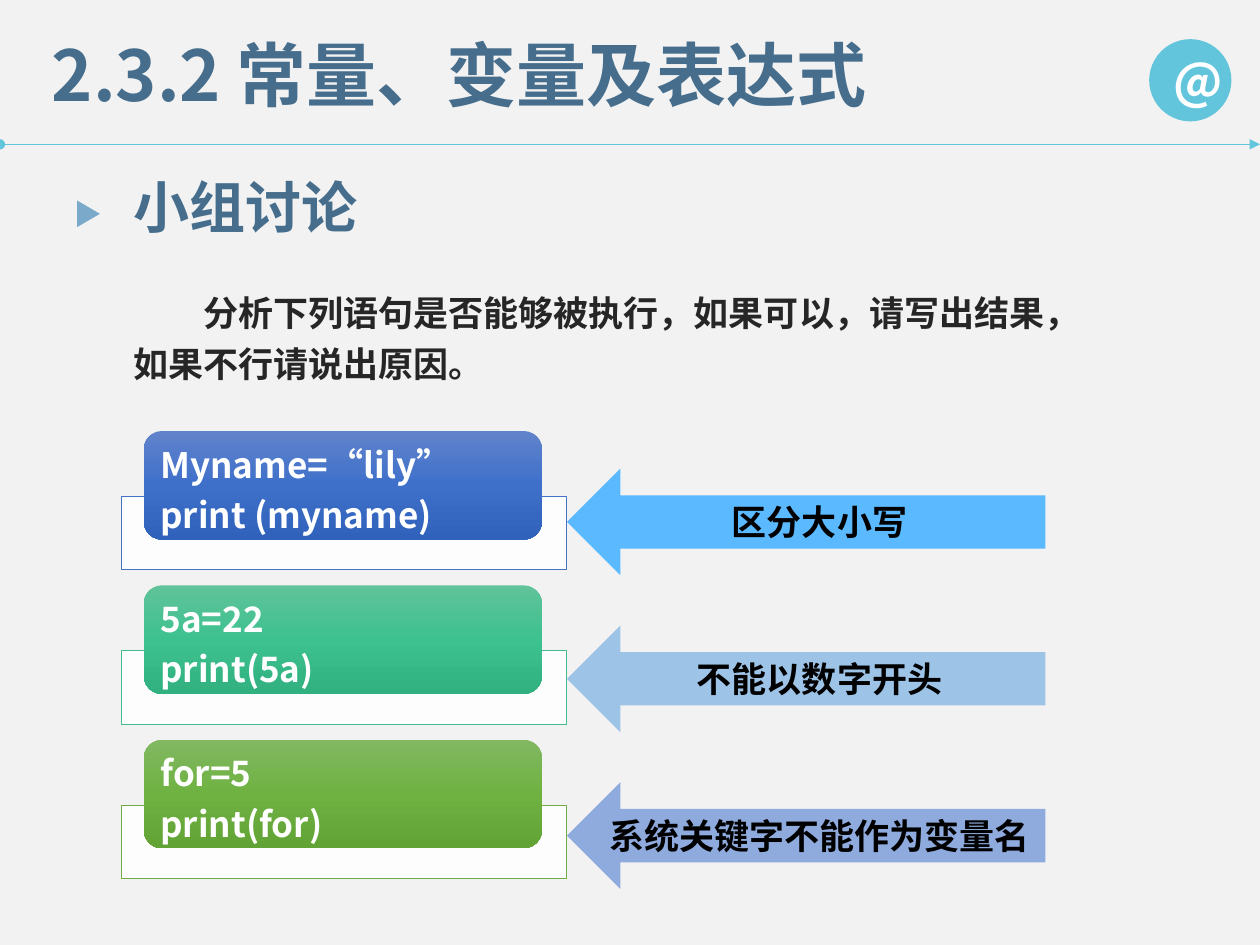
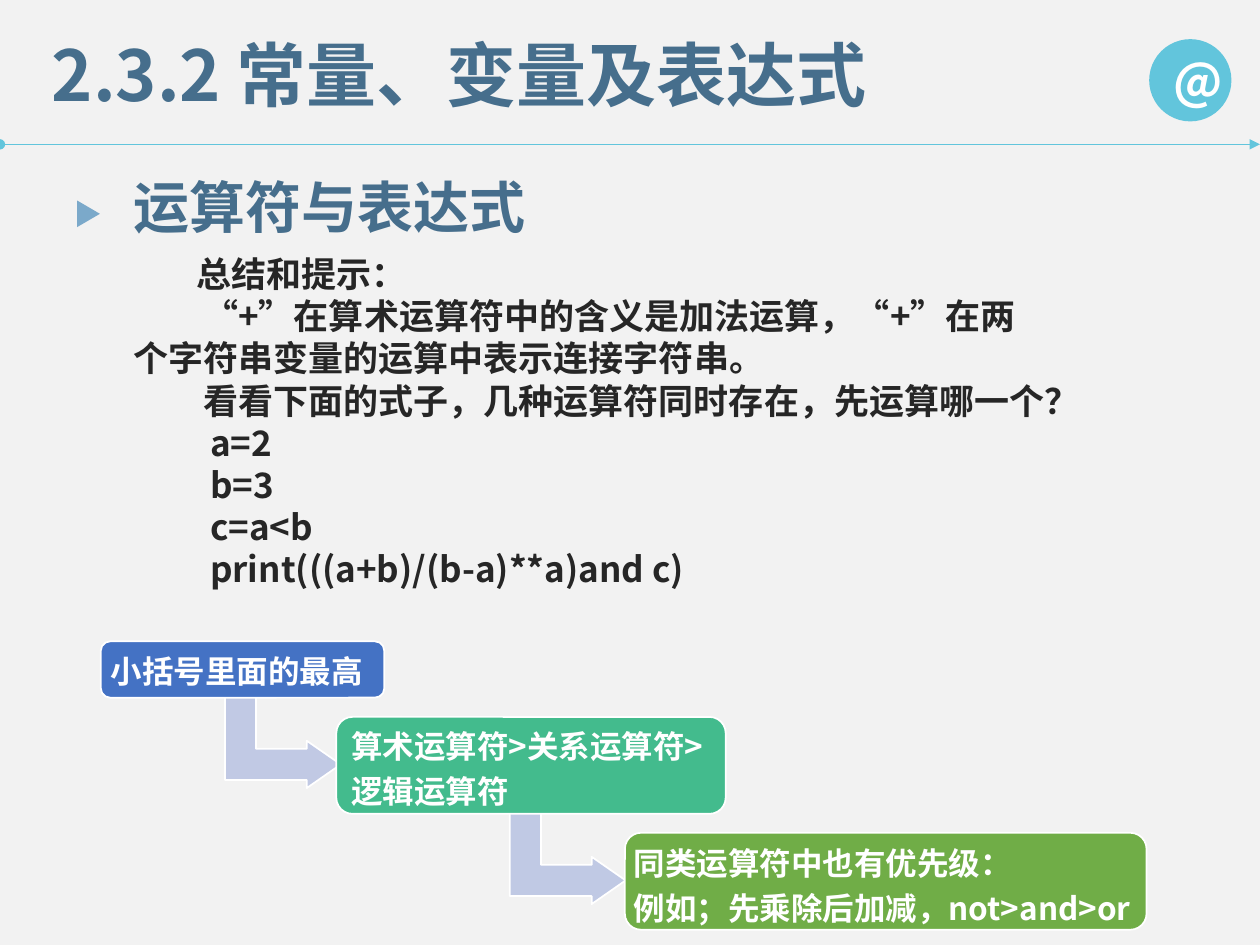
from copy import deepcopy

from lxml import etree
from pptx import Presentation
from pptx.dml.color import RGBColor
from pptx.enum.shapes import MSO_CONNECTOR, MSO_SHAPE
from pptx.enum.text import MSO_ANCHOR, PP_ALIGN
from pptx.oxml.ns import qn
from pptx.util import Pt

RECT = MSO_SHAPE.RECTANGLE
ROUND = MSO_SHAPE.ROUNDED_RECTANGLE
ELLIPSE = MSO_SHAPE.OVAL
TRIANGLE = MSO_SHAPE.ISOSCELES_TRIANGLE
LEFT_ARROW = MSO_SHAPE.LEFT_ARROW
BENT_ARROW = MSO_SHAPE.BENT_UP_ARROW
STRAIGHT = MSO_CONNECTOR.STRAIGHT
MIDDLE = MSO_ANCHOR.MIDDLE
LEFT, CENTER = PP_ALIGN.LEFT, PP_ALIGN.CENTER

SANS, LABEL_FONT = "Noto Sans CJK SC", "Calibri"
PAPER, WHITE, BLACK, INK = "F2F2F2", "FFFFFF", "000000", "262626"
HEADING, AQUA, MARKER = "466E8C", "62C5DC", "7BA9CA"
BLUE, GREEN, LEAF = "4472C4", "43BB8D", "70AD47"
rgb = RGBColor.from_string


def add_box(slide, kind, frame, fill, line=None, width=0.5):
    box = slide.shapes.add_shape(kind, *map(Pt, frame))
    box.shadow.inherit = False
    box.fill.solid()
    box.fill.fore_color.rgb = rgb(fill)
    if line:
        box.line.color.rgb = rgb(line)
        box.line.width = Pt(width)
    else:
        box.line.fill.background()
    return box


def write(shape, lines, size, colour, font=SANS, align=LEFT, spacing=None,
          indents=(), insets=None, **frame_format):
    frame = shape.text_frame
    for name, value in {"word_wrap": True, **frame_format}.items():
        setattr(frame, name, value)
    if insets:
        for side, inset in zip(("left", "top", "right", "bottom"), insets):
            setattr(frame, f"margin_{side}", Pt(inset))
    for index, line in enumerate(lines):
        paragraph = frame.add_paragraph() if index else frame.paragraphs[0]
        paragraph.alignment = align
        if spacing:
            paragraph.line_spacing = spacing
        if indents:
            properties = paragraph._p.get_or_add_pPr()
            properties.set("marL", "0")
            properties.set("indent", str(Pt(indents[index])))
        run = paragraph.add_run()
        run.text = line
        for name, value in {"name": font, "size": Pt(size), "bold": True}.items():
            setattr(run.font, name, value)
        run.font.color.rgb = rgb(colour)
        east_asian = etree.SubElement(run._r.get_or_add_rPr(), qn("a:ea"))
        east_asian.set("typeface", SANS)


deck = Presentation()
deck.slide_width, deck.slide_height = Pt(720), Pt(540)

slides = []
for topic, topic_width in (("小组讨论", 144), ("运算符与表达式", 242)):
    slide = deck.slides.add_slide(deck.slide_layouts[6])
    slide.background.fill.solid()
    slide.background.fill.fore_color.rgb = rgb(PAPER)

    rule = slide.shapes.add_connector(STRAIGHT, 0, Pt(82.5), Pt(720), Pt(82.5))
    rule.line.color.rgb = rgb(AQUA)
    rule.line.width = Pt(0.5)
    for end, style in (("a:headEnd", "oval"), ("a:tailEnd", "triangle")):
        etree.SubElement(rule.line._get_or_add_ln(), qn(end)).set("type", style)
    etree.SubElement(rule._element.spPr, qn("a:effectLst"))

    badge = add_box(slide, ELLIPSE, (656.7, 22.4, 47, 47), AQUA)
    write(badge, ["@"], 28, WHITE, align=CENTER, vertical_anchor=MIDDLE)
    title = slide.shapes.add_textbox(Pt(22.5), Pt(14.4), Pt(602), Pt(55.4))
    write(title, ["2.3.2 常量、变量及表达式"], 40, HEADING)
    heading = slide.shapes.add_textbox(Pt(69), Pt(95), Pt(topic_width), Pt(46))
    write(heading, [topic], 32, HEADING, word_wrap=False)
    marker = add_box(slide, TRIANGLE, (43, 115.7, 15.2, 13), MARKER)
    marker.rotation = 90
    slides.append(slide)

discussion, operators = slides

question = discussion.shapes.add_textbox(Pt(69), Pt(158.4), Pt(566.6), Pt(70))
write(question, ["分析下列语句是否能够被执行，如果可以，请写出结果，如果不行请说出原因。"],
      20, INK, spacing=1.2, indents=[40])

statements = [
    (["Myname=“lily”", "print (myname)"], BLUE, ("6183CB", "3E70CA", "3062BB"),
     "区分大小写", "5BB9FF"),
    (["5a=22", "print(5a)"], GREEN, ("60C39A", "3DC18F", "31B080"),
     "不能以数字开头", "9DC3E6"),
    (["for=5", "print(for)"], LEAF, ("81B861", "6FB242", "62A336"),
     "系统关键字不能作为变量名", "8FAADC"),
]
for row, (code, outline, shades, reason, reason_fill) in enumerate(statements):
    card_top = 246.3 + 88.2 * row
    tray = add_box(discussion, RECT, (69.3, card_top + 37.3, 254.5, 42),
                   WHITE, outline)
    tray_colour = tray._element.spPr.find(qn("a:solidFill"))[0]
    etree.SubElement(tray_colour, qn("a:alpha")).set("val", "90000")

    card = add_box(discussion, ROUND, (82.2, card_top, 227.5, 62), outline)
    card.fill.gradient()
    card.fill.gradient_angle = 270
    stops = card._element.spPr.find(".//" + qn("a:gsLst"))
    stops.append(deepcopy(stops[1]))
    for stop, shade, position in zip(card.fill.gradient_stops, shades, (0, 0.5, 1)):
        stop.color.rgb = rgb(shade)
        stop.position = position
    write(card, code, 20, WHITE, spacing=1.2, insets=(6.5, 0, 6.5, 0),
          vertical_anchor=MIDDLE)

    arrow = add_box(discussion, LEFT_ARROW, (324, 267.8 + 89.6 * row, 273.4, 61),
                    reason_fill)
    write(arrow, [reason], 20, BLACK, font=LABEL_FONT, align=CENTER,
          vertical_anchor=MIDDLE)

summary = operators.shapes.add_textbox(Pt(69), Pt(141), Pt(536), Pt(229))
write(summary, [
    "总结和提示：",
    "“+”在算术运算符中的含义是加法运算，“+”在两个字符串变量的运算中表示连接字符串。",
    "看看下面的式子，几种运算符同时存在，先运算哪一个？",
    "a=2",
    "b=3",
    "c=a<b",
    "print(((a+b)/(b-a)**a)and c)",
], 20, INK, indents=[36, 40, 40, 44, 44, 44, 44])

for left, top, fill in ((134.6, 390.2, "C1C9E4"), (297.4, 456.5, "C0C9E4")):
    bend = add_box(operators, BENT_ARROW, (left, top, 54, 66.2), fill, WHITE, 1)
    bend.rotation = 90
    for index, ratio in enumerate((0.33, 0.25, 0.36)):
        bend.adjustments[index] = ratio

priorities = [
    (["小括号里面的最高"], BLUE, (57.6, 366.5, 162, 32.2), (58.3, 356.4, 170.6, 49.7)),
    (["算术运算符>关系运算符>逻辑运算符"], GREEN,
     (192.2, 409.7, 222.5, 55.4), (195.8, 408.2, 211.7, 57.6)),
    (["同类运算符中也有优先级：", "例如；先乘除后加减，not>and>or"], LEAF,
     (357.1, 475.9, 298.1, 55.4), (357.1, 468, 315.4, 71.3)),
]
for rule_lines, fill, step_frame, text_frame in priorities:
    add_box(operators, ROUND, step_frame, fill, WHITE, 1)
    step_text = operators.shapes.add_textbox(*map(Pt, text_frame))
    write(step_text, rule_lines, 18, WHITE, spacing=1.2, insets=(5, 5, 5, 5),
          vertical_anchor=MIDDLE)

deck.save("out.pptx")
